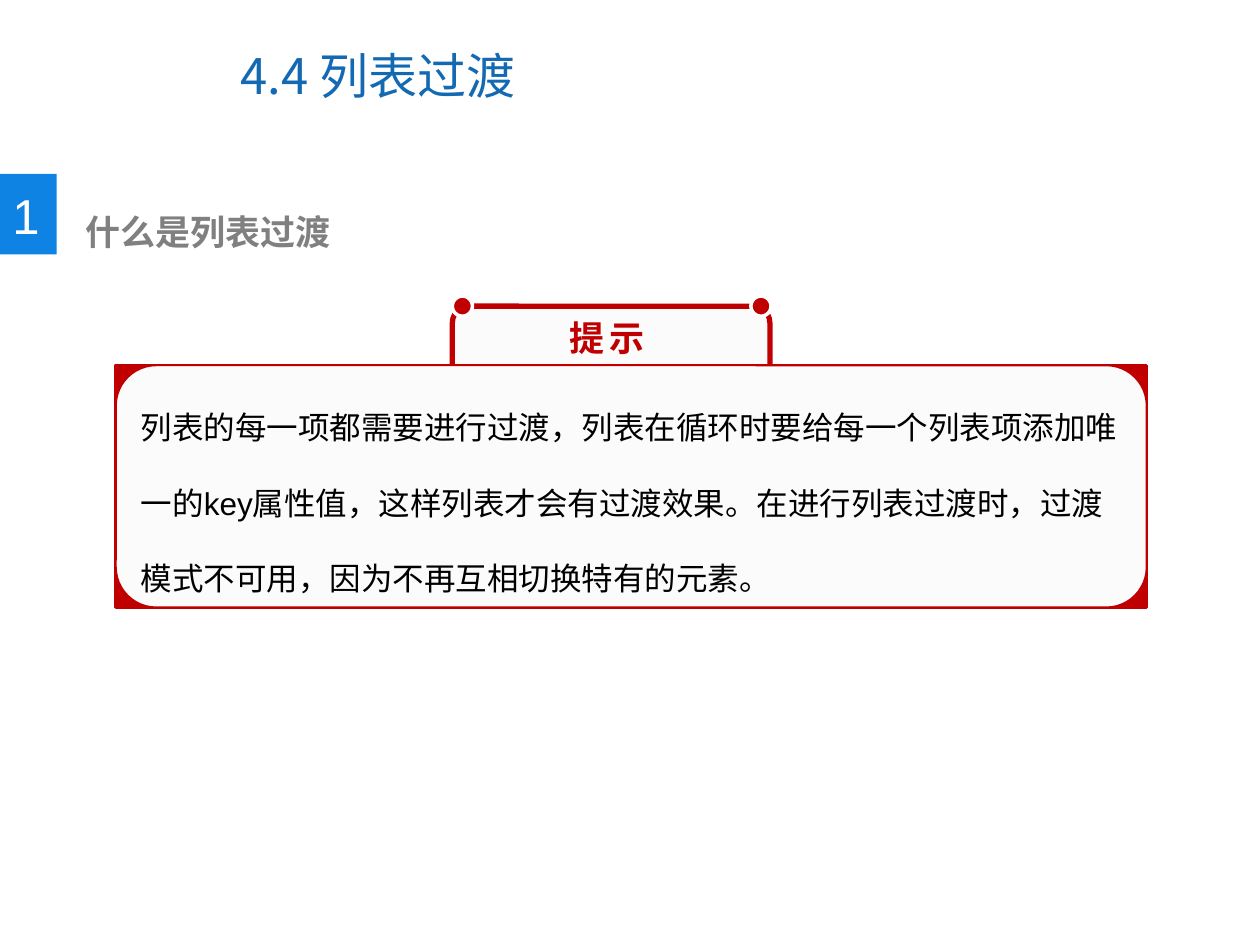
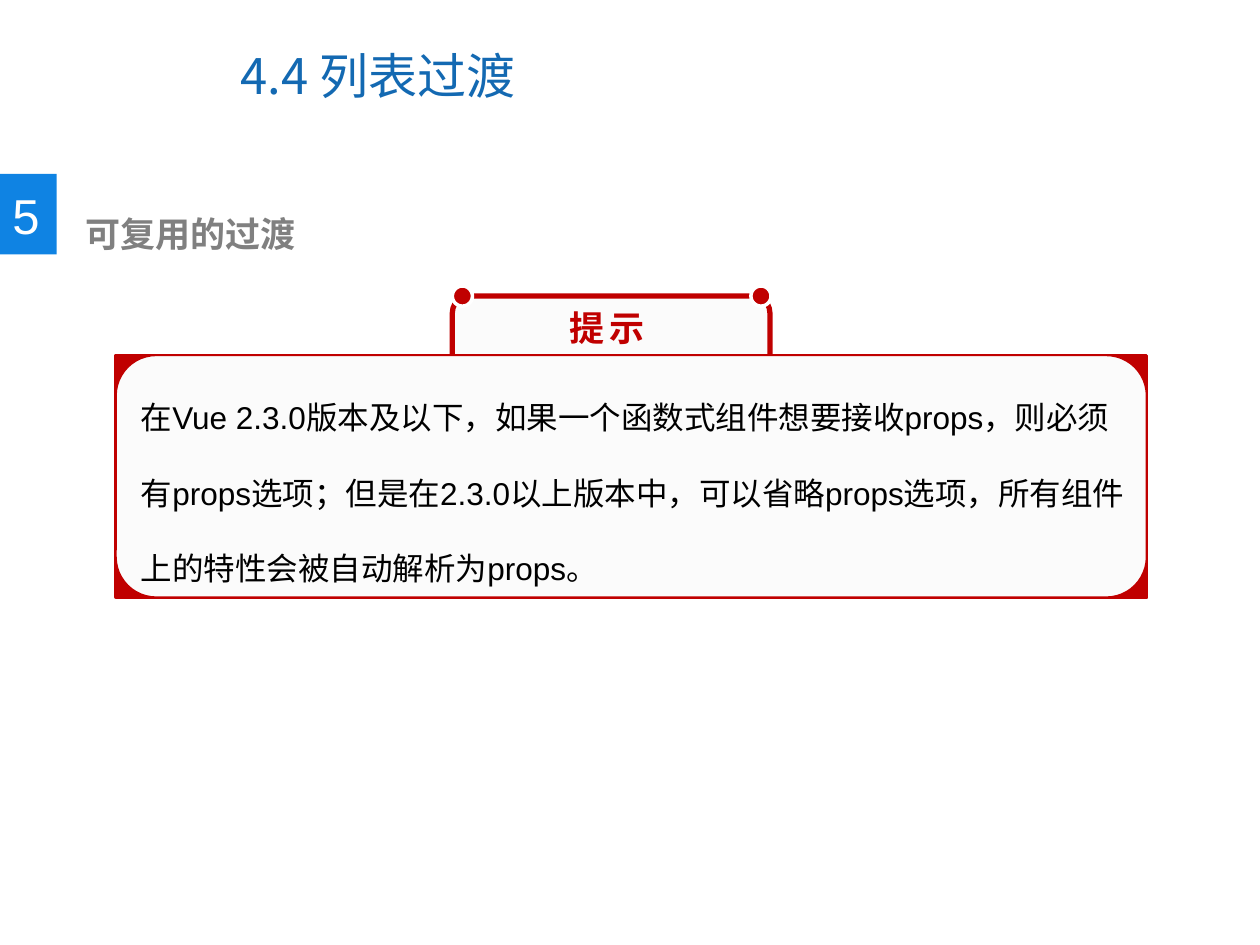
import pptx
import pptx.dml.color
import pptx.enum.shapes
import pptx.enum.text
import pptx.oxml.ns
import pptx.util
from lxml import etree

Inches = pptx.util.Inches
Pt = pptx.util.Pt
Kind = pptx.enum.shapes.MSO_SHAPE
Anchor = pptx.enum.text.MSO_ANCHOR
qn = pptx.oxml.ns.qn

COLORS = {
    "title": "1369B2",
    "badge": "0F83E3",
    "head": "808080",
    "red": "C00000",
    "pale": "FBFBFB",
    "white": "FFFFFF",
    "black": "000000",
}
SANS = "Arial"
HAN = "Noto Sans CJK SC"


def rgb(name):
    return pptx.dml.color.RGBColor.from_string(COLORS[name])


class Deck:
    """Holds the shared style and the slide being drawn."""

    def __init__(self):
        self.prs = pptx.Presentation()
        self.prs.slide_width = Inches(10)
        self.prs.slide_height = Inches(7.5)
        self.slide = None

    def page(self, title):
        self.slide = self.prs.slides.add_slide(self.prs.slide_layouts[6])
        self.text(title, 1.81, 0.17, 5.16, 0.85, 28, "title", font=HAN,
                  anchor=Anchor.MIDDLE)

    def shape(self, kind, left, top, width, height, fill, line=None, weight=1):
        box = self.slide.shapes.add_shape(
            kind, Inches(left), Inches(top), Inches(width), Inches(height))
        box.shadow.inherit = False
        box.fill.solid()
        box.fill.fore_color.rgb = rgb(fill)
        if line:
            box.line.color.rgb = rgb(line)
            box.line.width = Pt(weight)
        else:
            box.line.fill.background()

    def text(self, words, left, top, width, height, size, color, font=SANS,
             bold=False, wrap=True, anchor=Anchor.TOP, lines=None, track=0):
        """Add a text box; track is the letter spacing in points."""
        box = self.slide.shapes.add_textbox(
            Inches(left), Inches(top), Inches(width), Inches(height))
        frame = box.text_frame
        frame.word_wrap = wrap
        frame.vertical_anchor = anchor
        para = frame.paragraphs[0]
        para.text = words
        if lines:
            para.line_spacing = lines
        para.font.size = Pt(size)
        para.font.bold = bold
        para.font.color.rgb = rgb(color)
        para.font.name = font
        props = para._p.pPr.find(qn("a:defRPr"))
        etree.SubElement(props, qn("a:ea")).set("typeface", HAN)
        if track:
            props.set("spc", str(track * 100))

    def head(self, number, words, top):
        self.shape(Kind.RECTANGLE, 0, 1.38, 0.45, 0.64, "badge")
        self.text(number, 0, 1.42, 0.42, 0.57, 28, "white", wrap=False)
        self.text(words, 0.58, top, 5, 0.44, 20, "head", bold=True)

    def tip(self, words, top):
        """Draw the tip panel, with its tab rising above top."""
        self.shape(Kind.ROUNDED_RECTANGLE, 3.59, top - 0.47, 2.52, 0.79,
                   "pale", "red", 3)
        for kind, fill, weight in (
                (Kind.FLOWCHART_PROCESS, "red", 2),
                (Kind.FLOWCHART_ALTERNATE_PROCESS, "pale", 1)):
            self.shape(kind, 0.92, top, 8.18, 1.92, fill, "red", weight)
        for left in (3.59, 5.96):
            self.shape(Kind.OVAL, left, top - 0.55, 0.16, 0.16,
                       "red", "white", 2)
        self.text("提示", 4.42, top - 0.44, 1, 0.44, 20, "red", font=HAN,
                  bold=True, wrap=False, track=3)
        self.text(words, 1.02, top - 0.01, 8.04, 1.92, 18, "black", lines=2)


def main():
    deck = Deck()
    title = "4.4 列表过渡"

    deck.page(title)
    deck.head("1", "什么是列表过渡", 1.62)
    deck.tip("列表的每一项都需要进行过渡，列表在循环时要给每一个列表项添加唯一的"
             "key属性值，这样列表才会有过渡效果。在进行列表过渡时，过渡模式不可用，"
             "因为不再互相切换特有的元素。", 2.9)

    deck.page(title)
    deck.head("5", "可复用的过渡", 1.64)
    deck.tip("在Vue 2.3.0版本及以下，如果一个函数式组件想要接收props，则必须有"
             "props选项；但是在2.3.0以上版本中，可以省略props选项，"
             "所有组件上的特性会被自动解析为props。", 2.82)

    deck.prs.save("out.pptx")


if __name__ == "__main__":
    main()
